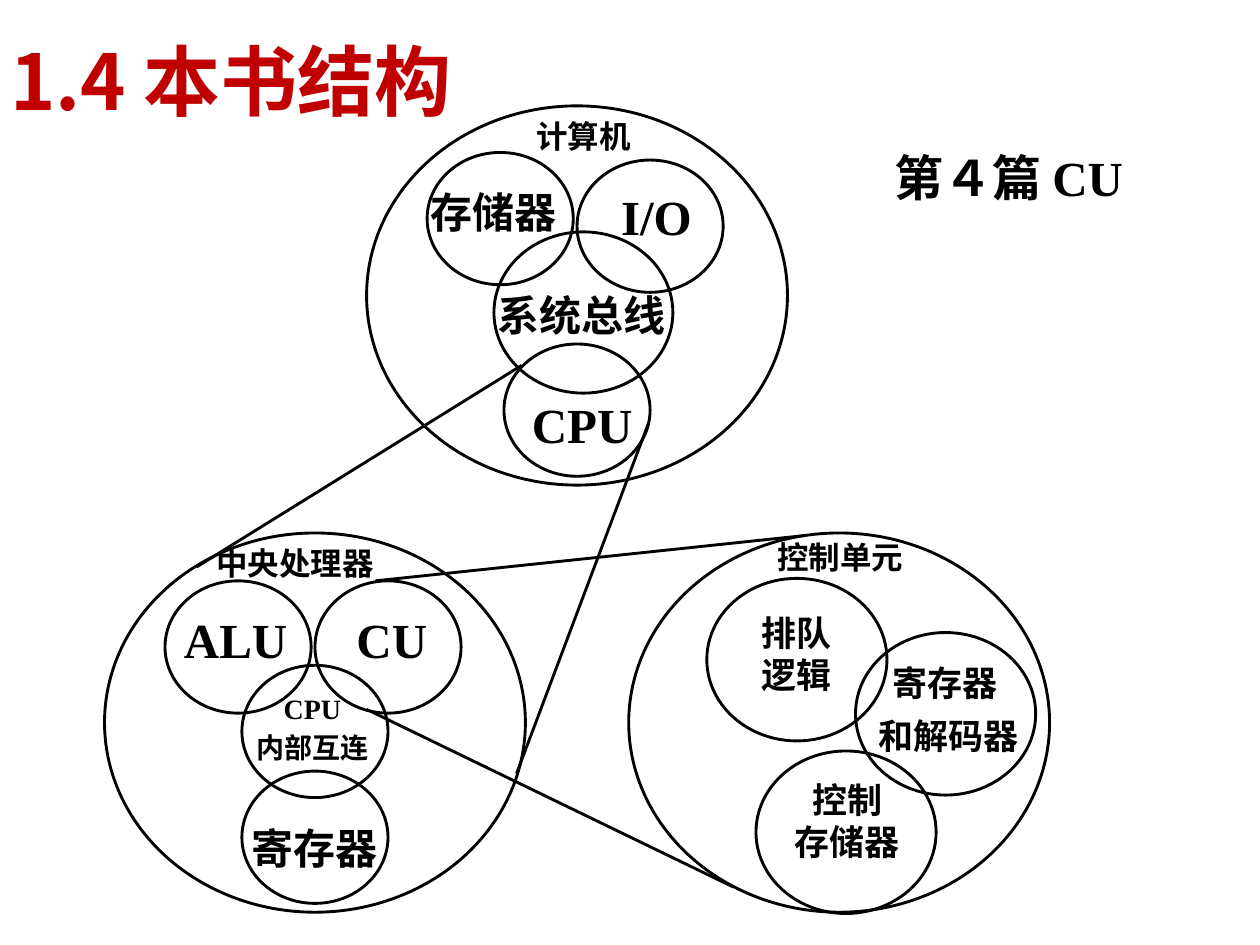
import pptx
import pptx.util
import pptx.dml.color
import pptx.enum.shapes
import pptx.enum.text
from lxml import etree
from pptx.oxml.ns import qn
from pptx.util import Inches

HUES = {"ink": "000000", "title": "C00000"}
SERIF, SANS, HAN = "Times New Roman", "Arial", "Noto Sans CJK SC"
RULE = pptx.util.Pt(1.63)


def rgb(name):
    return pptx.dml.color.RGBColor.from_string(HUES[name])


def style(run, size, face, hue="ink"):
    font = run.font
    font.size = pptx.util.Pt(size)
    font.bold = True
    font.name = face
    font.color.rgb = rgb(hue)
    etree.SubElement(run._r.get_or_add_rPr(), qn("a:ea"), typeface=HAN)


deck = pptx.Presentation()
deck.slide_width, deck.slide_height = Inches(10), Inches(7.5)
slide = deck.slides.add_slide(deck.slide_layouts[5])
shapes = slide.shapes

title = shapes.title
title.left, title.top = Inches(-0.4), Inches(0.21)
title.width, title.height = Inches(5.33), Inches(0.84)
frame = title.text_frame
frame.text = "1.4 本书结构"
frame.margin_left = Inches(0.48)
frame.vertical_anchor = pptx.enum.text.MSO_ANCHOR.MIDDLE
frame.paragraphs[0].alignment = pptx.enum.text.PP_ALIGN.LEFT
style(frame.paragraphs[0].runs[0], 44, HAN, "title")

# Circles by size: width, height, then left and top of each
rings = [
    (3.34, 3.01, [(2.91, 0.84), (0.83, 4.23), (4.99, 4.23)]),
    (1.16, 1.05, [(3.39, 1.21), (4.58, 1.27), (4, 2.73),
                  (1.31, 4.61), (2.5, 4.61), (1.92, 5.28), (1.92, 6.12)]),
    (1.42, 1.28, [(3.92, 1.84)]),
    (1.43, 1.29, [(5.61, 4.59), (6.79, 5.02), (6, 5.96)]),
]
for wide, high, spots in rings:
    for left, top in spots:
        ring = shapes.add_shape(
            pptx.enum.shapes.MSO_SHAPE.OVAL,
            Inches(left), Inches(top), Inches(wide), Inches(high))
        ring.shadow.inherit = False
        ring.fill.background()
        ring.line.color.rgb = rgb("ink")
        ring.line.width = RULE

# Zoom lines from a part to the circle that details it
rays = [
    (4.14, 2.9, 1.56, 4.5),
    (5.15, 3.35, 4.1, 6.14),
    (2.98, 4.61, 6.39, 4.25),
    (2.91, 5.63, 5.82, 7.04),
]
for ends in rays:
    ray = shapes.add_connector(
        pptx.enum.shapes.MSO_CONNECTOR.STRAIGHT, *map(Inches, ends))
    ray.line.color.rgb = rgb("ink")
    ray.line.width = RULE
    etree.SubElement(ray._element.spPr, qn("a:effectLst"))

# Text, left, top, width, height, size, font
labels = [
    ("计算机", 4.25, 0.93, 0.76, 0.3, 18, SANS),
    ("存储器", 3.41, 1.48, 1.02, 0.4, 24, SANS),
    ("I/O", 4.8, 1.48, 0.82, 0.47, 28, SERIF),
    ("系统总线", 3.94, 2.3, 1.35, 0.4, 24, SANS),
    ("CPU", 4.2, 3.13, 0.84, 0.47, 28, SERIF),
    ("中央处理器", 1.7, 4.32, 1.28, 0.3, 18, SANS),
    ("ALU", 1.45, 4.84, 0.84, 0.47, 28, SERIF),
    ("CU", 2.78, 4.84, 0.66, 0.47, 28, SERIF),
    ("CPU", 2.23, 5.49, 0.5, 0.27, 16, SERIF),
    ("内部互连", 2.01, 5.8, 0.94, 0.27, 16, SANS),
    ("寄存器", 1.98, 6.53, 1.04, 0.4, 24, SANS),
    ("控制单元", 6.14, 4.27, 1.06, 0.3, 18, SANS),
    ("排队\n逻辑", 5.65, 4.85, 1.35, 0.67, 20, SANS),
    ("寄存器", 7.07, 5.25, 0.86, 0.33, 20, SANS),
    ("和解码器", 6.96, 5.67, 1.14, 0.33, 20, SANS),
    ("控制\n存储器", 6.13, 6.18, 1.19, 0.67, 20, SANS),
]
for text, left, top, wide, high, size, face in labels:
    box = shapes.add_textbox(
        Inches(left), Inches(top), Inches(wide), Inches(high))
    frame = box.text_frame
    frame.word_wrap = False
    frame.margin_left = frame.margin_right = 0
    frame.margin_top = frame.margin_bottom = 0
    frame.text = text
    for para in frame.paragraphs:
        para.alignment = pptx.enum.text.PP_ALIGN.CENTER
        style(para.runs[0], size, face)

part = shapes.add_textbox(Inches(7), Inches(1.12), Inches(2.98), Inches(0.57))
part.text_frame.word_wrap = True
para = part.text_frame.paragraphs[0]
for text, face in [("第４篇 ", SANS), ("CU", SERIF)]:
    run = para.add_run()
    run.text = text
    style(run, 28, face)

deck.save("out.pptx")
